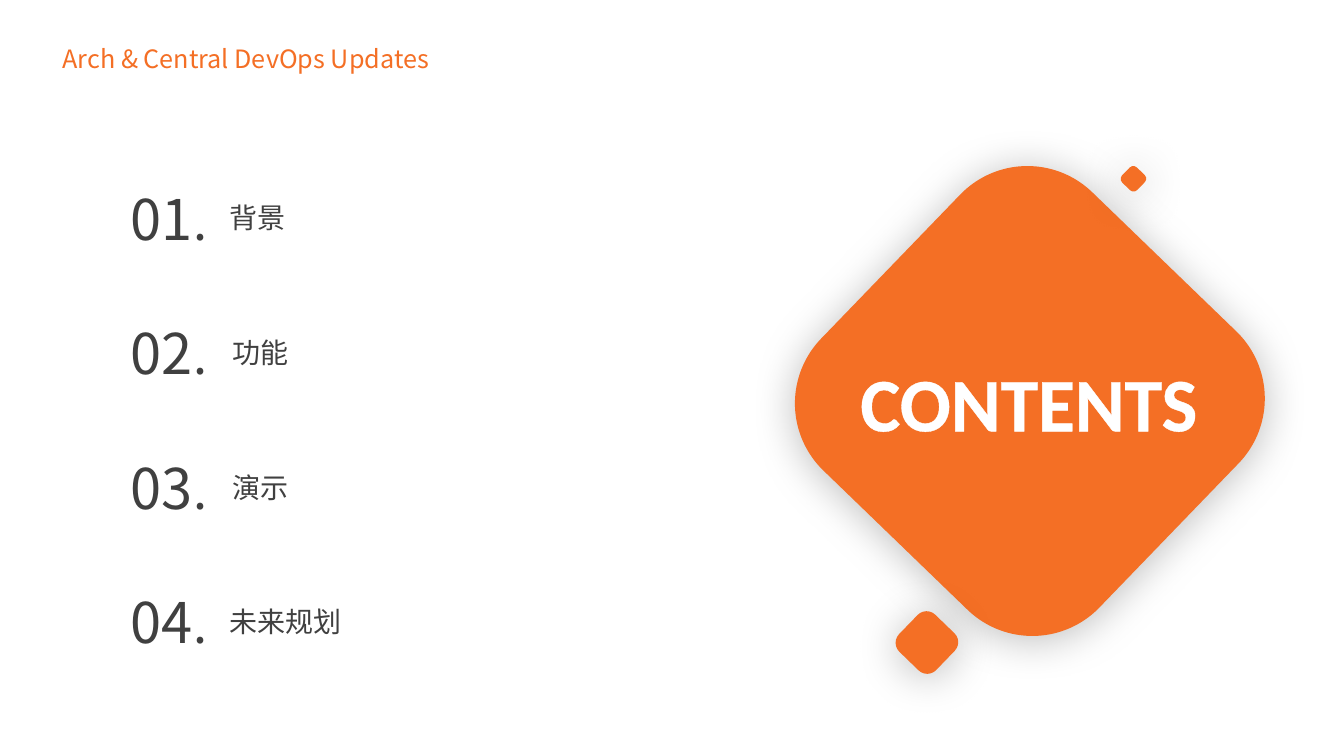
from lxml import etree
from pptx import Presentation
from pptx.dml.color import RGBColor
from pptx.enum.shapes import MSO_SHAPE
from pptx.enum.text import MSO_ANCHOR, MSO_AUTO_SIZE, PP_ALIGN
from pptx.oxml import parse_xml
from pptx.oxml.ns import qn
from pptx.util import Cm, Pt

TITLE = "Arch & Central DevOps Updates"
BADGE = "CONTENTS"
# number, label, left edge of label
TOPICS = [
    ("01", "背景", 5.54),
    ("02", "功能", 5.61),
    ("03", "演示", 5.61),
    ("04", "未来规划", 5.54),
]
# left, top, side
DIAMONDS = [(21.08, 5.23, 9.75), (22.71, 15.54, 1.3), (28.3, 4.24, 0.53)]
COLORS = {"brand": "F46F25", "text": "404040", "light": "FFFFFF", "shade": "000000"}
SANS, LATIN = "Noto Sans CJK SC", "Calibri"
ROUND = MSO_SHAPE.ROUNDED_RECTANGLE
TOP, GROW = MSO_ANCHOR.TOP, MSO_AUTO_SIZE.SHAPE_TO_FIT_TEXT
LEFT, CENTER, JUSTIFY = PP_ALIGN.LEFT, PP_ALIGN.CENTER, PP_ALIGN.JUSTIFY
FIRST, STEP, DROP = 4.52, 3.39, 0.42
NS = 'xmlns:a="http://schemas.openxmlformats.org/drawingml/2006/main"'
SHADOW = f"""<a:effectLst {NS}>
  <a:outerShdw blurRad="{Pt(31)}" dist="{Pt(3)}" dir="5400000" algn="t" rotWithShape="0">
    <a:srgbClr val="{COLORS['shade']}"><a:alpha val="25000"/></a:srgbClr>
  </a:outerShdw>
</a:effectLst>"""
OUTLINE = f"""<a:ln {NS} w="{Pt(0.75)}"><a:solidFill>
  <a:srgbClr val="{COLORS['light']}"/></a:solidFill></a:ln>"""


def paint(color):
    return RGBColor.from_string(COLORS[color])


def write(box, text, size, color, align, face=SANS, wrap=True):
    """Fill a box with one paragraph and return that paragraph."""
    frame = box.text_frame
    frame.word_wrap = wrap
    frame.auto_size = GROW
    frame.vertical_anchor = TOP
    para = frame.paragraphs[0]
    para.text = text
    para.alignment = align
    font = para.font
    font.size, font.name = Pt(size), face
    font.color.rgb = paint(color)
    props = para._p.pPr.find(qn("a:defRPr"))
    etree.SubElement(props, qn("a:ea")).set("typeface", face)
    return para


def add_title(slide):
    title = slide.shapes.title
    title.left, title.top, title.width, title.height = map(Cm, (1.32, 0.97, 10.64, 1.02))
    write(title, TITLE, 18, "brand", JUSTIFY)


def add_diamond(slide, left, top, side):
    shape = slide.shapes.add_shape(ROUND, *map(Cm, (left, top, side, side)))
    shape.adjustments[0] = 0.241
    shape.rotation = 314
    shape.fill.solid()
    shape.fill.fore_color.rgb = paint("brand")
    shape.line.fill.background()
    shape._element.spPr.append(parse_xml(SHADOW))


def add_topic(slide, row, number, label, left):
    top = FIRST + row * STEP
    group = slide.shapes.add_group_shape().shapes
    box = group.add_textbox(*map(Cm, (3.05, top, 3.07, 1.96)))
    para = write(box, number, 40, "text", LEFT)
    dot = para.add_run()
    dot.text = "."
    dot.font.size = Pt(36)
    box = group.add_textbox(*map(Cm, (left, top + DROP, 10.54, 1.12)))
    write(box, label, 20, "text", JUSTIFY)


def add_badge(slide):
    box = slide.shapes.add_textbox(*map(Cm, (20.8, 8.84, 10.26, 2.57)))
    para = write(box, BADGE, 54, "light", CENTER, LATIN, False)
    para.font.bold = True
    para._p.pPr.find(qn("a:defRPr")).insert(0, parse_xml(OUTLINE))


def main():
    deck = Presentation()
    deck.slide_width, deck.slide_height = Cm(33.87), Cm(19.05)
    slide = deck.slides.add_slide(deck.slide_layouts[5])
    add_title(slide)
    for diamond in DIAMONDS:
        add_diamond(slide, *diamond)
    for row, topic in enumerate(TOPICS):
        add_topic(slide, row, *topic)
    add_badge(slide)
    deck.save("out.pptx")


if __name__ == "__main__":
    main()
